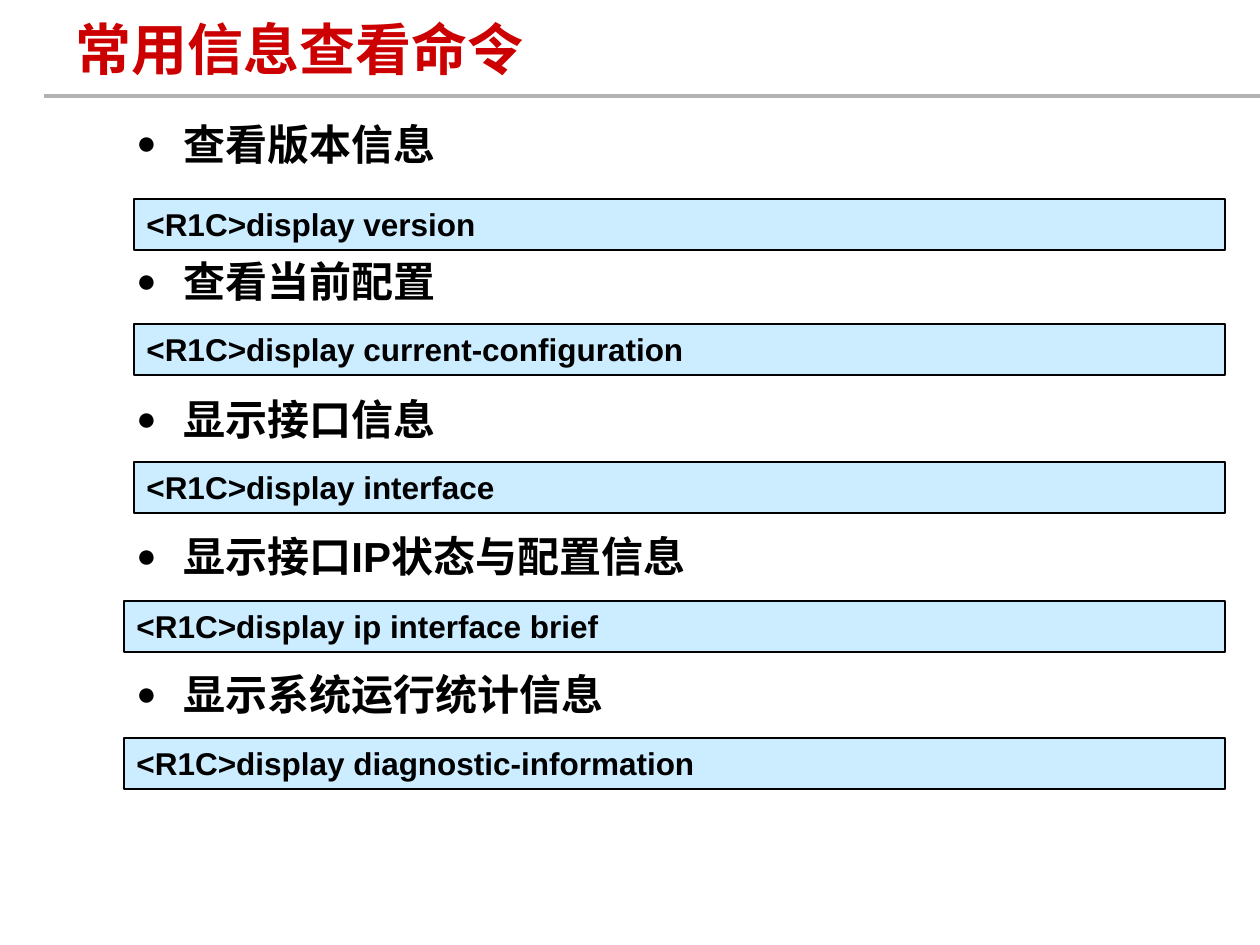
from dataclasses import dataclass

from lxml.etree import SubElement
from pptx import Presentation
from pptx.dml.color import RGBColor
from pptx.enum.shapes import MSO_CONNECTOR, MSO_SHAPE
from pptx.enum.text import MSO_ANCHOR, MSO_AUTO_SIZE, PP_ALIGN
from pptx.oxml.ns import qn
from pptx.slide import Slide
from pptx.text.text import Font
from pptx.util import Pt

PX = 914400 / 126
COLORS = {
    "title": "CC0000",
    "text": "000000",
    "rule": "B2B2B2",
    "command": "CCECFF",
}
PROMPT = "<R1C>"
COMMAND_RIGHT = 1225
COMMAND_HEIGHT = 51
BULLET_INDENT = 47


@dataclass
class Topic:
    heading: str
    command: str
    left: int
    top: int


TOPICS = [
    Topic("查看版本信息", "display version", 134, 199),
    Topic("查看当前配置", "display current-configuration", 134, 324),
    Topic("显示接口信息", "display interface", 134, 462),
    Topic("显示接口IP状态与配置信息", "display ip interface brief", 124, 601),
    Topic("显示系统运行统计信息", "display diagnostic-information", 124, 738),
]


def px(length: int) -> int:
    return round(length * PX)


def color(name: str) -> RGBColor:
    return RGBColor.from_string(COLORS[name])


def set_font(font: Font, size: int, color_name: str) -> None:
    font.name = "Arial"
    font.size = Pt(size)
    font.bold = True
    font.color.rgb = color(color_name)


def add_title(page: Slide, text: str) -> None:
    title = page.shapes.title
    title.left, title.top, title.width, title.height = map(px, (63, 6, 998, 85))
    frame = title.text_frame
    frame.text = text
    frame.auto_size = MSO_AUTO_SIZE.NONE
    frame.vertical_anchor = MSO_ANCHOR.MIDDLE
    para = frame.paragraphs[0]
    para.alignment = PP_ALIGN.LEFT
    set_font(para.font, 32, "title")


def add_rule(page: Slide) -> None:
    rule = page.shapes.add_connector(
        MSO_CONNECTOR.STRAIGHT, px(44), px(96), px(1260), px(96)
    )
    rule.line.color.rgb = color("rule")
    rule.line.width = Pt(2.25)
    SubElement(rule._element.spPr, qn("a:effectLst"))


def add_headings(page: Slide, topics: list[Topic]) -> None:
    """Put all headings in one bulleted list, spaced to leave room for the commands."""
    box = page.shapes.add_textbox(*map(px, (124, 115, 1012, 655)))
    frame = box.text_frame
    frame.word_wrap = True
    frame.text = "\n".join(topic.heading for topic in topics)
    for para in frame.paragraphs:
        set_font(para.font, 24, "text")
        para.line_spacing = Pt(27)
        para.space_before = Pt(3)
        para.space_after = Pt(48.6)
        properties = para._p.get_or_add_pPr()
        properties.set("marL", str(px(BULLET_INDENT)))
        properties.set("indent", str(-px(BULLET_INDENT)))
        bullet_color = SubElement(properties, qn("a:buClr"))
        SubElement(bullet_color, qn("a:srgbClr"), val=COLORS["text"])
        SubElement(properties, qn("a:buSzPct"), val="80000")
        SubElement(properties, qn("a:buFont"), typeface="Arial")
        SubElement(properties, qn("a:buChar"), char="●")
        # The schema wants the default run properties after the bullet.
        properties.append(properties.find(qn("a:defRPr")))


def add_command(page: Slide, topic: Topic) -> None:
    box = page.shapes.add_shape(
        MSO_SHAPE.RECTANGLE,
        px(topic.left),
        px(topic.top),
        px(COMMAND_RIGHT - topic.left),
        px(COMMAND_HEIGHT),
    )
    box.shadow.inherit = False
    box.fill.solid()
    box.fill.fore_color.rgb = color("command")
    box.line.color.rgb = color("text")
    box.line.width = Pt(0.75)
    frame = box.text_frame
    frame.text = PROMPT + topic.command
    frame.vertical_anchor = MSO_ANCHOR.TOP
    para = frame.paragraphs[0]
    para.alignment = PP_ALIGN.LEFT
    set_font(para.font, 18, "text")


def main() -> None:
    deck = Presentation()
    deck.slide_width, deck.slide_height = px(1260), px(945)
    page = deck.slides.add_slide(deck.slide_layouts.get_by_name("Title Only"))
    add_rule(page)
    add_title(page, "常用信息查看命令")
    add_headings(page, TOPICS)
    for topic in TOPICS:
        add_command(page, topic)
    deck.save("out.pptx")


if __name__ == "__main__":
    main()
